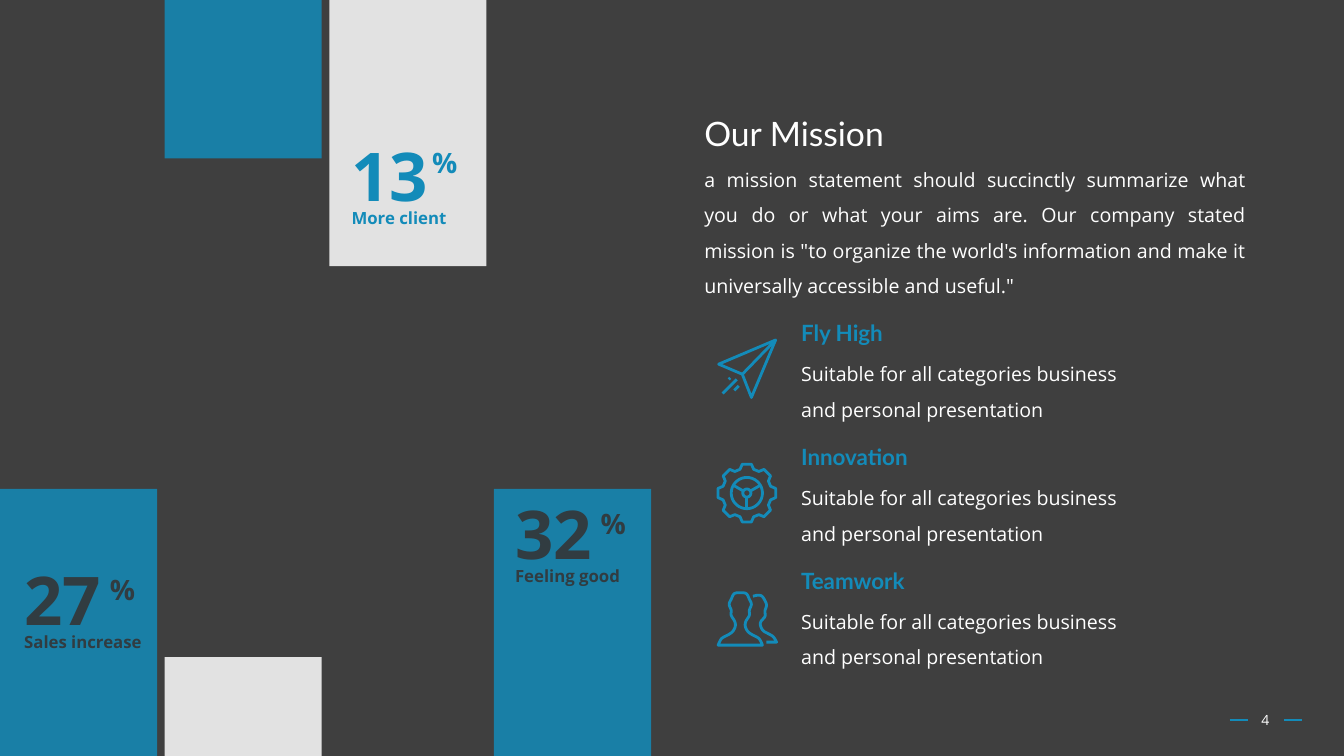
from math import cos, sin, radians
from lxml.etree import SubElement
from pptx import Presentation
from pptx.dml.color import RGBColor as Rgb
from pptx.enum.shapes import MSO_CONNECTOR as Link, MSO_SHAPE as Form
from pptx.enum.text import MSO_ANCHOR as Anchor, PP_ALIGN as Align
from pptx.oxml.ns import qn
from pptx.util import Cm, Pt

HUES = {"back": "3F3F3F", "blue": "138BB9", "white": "FFFFFF", "dark": "313C41"}
UNIT = 0.0254


def hue(name):
    return Rgb.from_string(HUES[name])


def write(frame, text, size=14, font="Open Sans", color="white", bold=False,
          align=Align.LEFT, space=None):
    para = frame.paragraphs[0]
    para.alignment = align
    if space:
        para.line_spacing = space
    run = para.add_run()
    run.text = text
    run.font.size = Pt(size)
    run.font.name = font
    run.font.bold = bold
    run.font.color.rgb = hue(color)


def ring(radius, angles):
    return [(30 + radius * cos(radians(a)), 30.5 + radius * sin(radians(a)))
            for a in angles]


def curve(points, steps=6):
    ends = [points[0], *points, points[-1]]
    trail = [points[0]]
    for a, b, c, d in zip(ends, ends[1:], ends[2:], ends[3:]):
        for step in range(1, steps + 1):
            t = step / steps
            trail.append(tuple(
                (2 * q + (r - p) * t + (2 * p - 5 * q + 4 * r - s) * t ** 2
                 + (3 * q - p - 3 * r + s) * t ** 3) / 2
                for p, q, r, s in zip(a, b, c, d)))
    return trail


class Deck:
    def __init__(self):
        self.file = Presentation()
        self.file.slide_width, self.file.slide_height = Cm(33.87), Cm(19.05)
        self.slide = self.file.slides.add_slide(self.file.slide_layouts[6])
        fill = self.slide.background.fill
        fill.solid()
        fill.fore_color.rgb = hue("back")
        self.shapes = self.slide.shapes

    def block(self, left, top, width, height, color, alpha=85):
        box = self.shapes.add_shape(Form.RECTANGLE, Cm(left), Cm(top),
                                    Cm(width), Cm(height))
        box.shadow.inherit = False
        box.fill.solid()
        box.fill.fore_color.rgb = hue(color)
        box.line.fill.background()
        tint = box.fill._xPr.find(qn("a:solidFill"))[0]
        SubElement(tint, qn("a:alpha")).set("val", str(alpha * 1000))

    def text(self, left, top, width, height, text, wrap=True,
             anchor=Anchor.TOP, **style):
        box = self.shapes.add_textbox(Cm(left), Cm(top), Cm(width), Cm(height))
        box.text_frame.word_wrap = wrap
        box.text_frame.vertical_anchor = anchor
        write(box.text_frame, text, **style)

    def rule(self, left, top, width):
        line = self.shapes.add_connector(Link.STRAIGHT, Cm(left), Cm(top),
                                         Cm(left + width), Cm(top))
        line.line.color.rgb = hue("blue")
        line.line.width = Pt(1.75)
        SubElement(line._element.spPr, qn("a:effectLst"))

    def trace(self, left, top, points, close=False):
        spots = [(Cm(left + x * UNIT), Cm(top + y * UNIT)) for x, y in points]
        pen = self.shapes.build_freeform(*spots[0])
        pen.add_line_segments(spots[1:], close=close)
        form = pen.convert_to_shape()
        form.shadow.inherit = False
        form.fill.background()
        form.line.color.rgb = hue("blue")
        form.line.width = Pt(2)


PLANE = [([(2, 25.5), (58.5, 1.5), (34.5, 58.5), (25.5, 35.5)], True),
         ([(25.5, 35.5), (58.5, 1.5)], False),
         ([(6, 54.5), (20, 40.5)], False),
         ([(17.5, 51.5), (22, 47)], False),
         ([(12, 40.5), (13.5, 39)], False)]

teeth = [spot for a in range(0, 360, 45) for r, turn in
         ((24.5, -16), (29, -9), (29, 9), (24.5, 16))
         for spot in ring(r, [a + turn])]
GEAR = [(teeth, True)]
GEAR += [(ring(r, range(0, 360, 10)), True) for r in (15.5, 4)]
GEAR += [(ring(4, [a]) + ring(15.5, [a]), False) for a in (90, 210, 330)]

half = [(23.5, 6.5), (29.5, 7.5), (32.5, 13), (34.5, 18), (32.5, 24),
        (32.5, 29), (29, 35), (28.5, 40), (31, 45), (35, 48), (42, 52),
        (45.5, 58.5)]
front = [(47 - x, y) for x, y in reversed(half[1:])] + half
rear = [(36, 10), (41, 9), (45, 10), (48, 14.5), (49.5, 19), (48, 24.5),
        (48, 30), (44, 35), (43.5, 39), (46, 44), (50, 46.5), (56, 50),
        (59.5, 55.5)]
TEAM = [(curve(front), True), (curve(rear) + [(49.5, 55.5)], False)]

deck = Deck()
for left in (30.99, 32.36):
    deck.rule(left, 18.14, 0.45)
deck.text(31.14, 17.63, 1.5, 1.02, "4", size=10, align=Align.CENTER,
          anchor=Anchor.MIDDLE)

for col, top, high, color in ((0, 12.32, 6.73, "blue"), (1, 16.56, 2.49, "white"),
                              (1, 0, 3.99, "blue"), (2, 0, 6.71, "white"),
                              (3, 12.32, 6.73, "blue")):
    deck.block(col * 4.15, top, 3.96, high, color)

deck.text(17.5, 2.72, 11, 1.27, "Our Mission", size=24, font="Lato")
deck.text(17.5, 3.81, 14.15, 4.22,
          "a mission statement should succinctly summarize what you do or what "
          "your aims are. Our company stated mission is \"to organize the world's "
          "information and make it universally accessible and useful.\"",
          align=Align.JUSTIFY, space=1.5)

for left, top, num, label, color, right, drop in (
        (0.36, 13.94, "27", "Sales increase", "dark", 2.16, 0.36),
        (8.61, 3.25, "13", "More client", "blue", 2.03, 0.3),
        (12.73, 12.29, "32", "Feeling good", "dark", 2.16, 0.36)):
    look = {"color": color, "bold": True}
    deck.text(left, top, 2.46, 2.31, num, wrap=False, size=48, **look)
    deck.text(left, top + 1.85, 3.66, 0.76, label, size=12, **look)
    deck.text(left + right, top + drop, 1.14, 1.12, "%", wrap=False, size=20, **look)

goals = (("Fly High", 2.62, PLANE), ("Innovation", 3.25, GEAR),
         ("Teamwork", 3.23, TEAM))
for row, (name, width, icon) in enumerate(goals):
    top = 7.92 + row * 3.12
    deck.text(19.94, top, width, 0.94, name, wrap=False, size=16, font="Lato",
              color="blue", bold=True)
    deck.text(19.94, top + 0.79, 8.86, 1.96,
              "Suitable for all categories business and personal presentation",
              space=1.5)
    for points, close in icon:
        deck.trace(18.06, top + 0.61, points, close)

deck.file.save("out.pptx")
